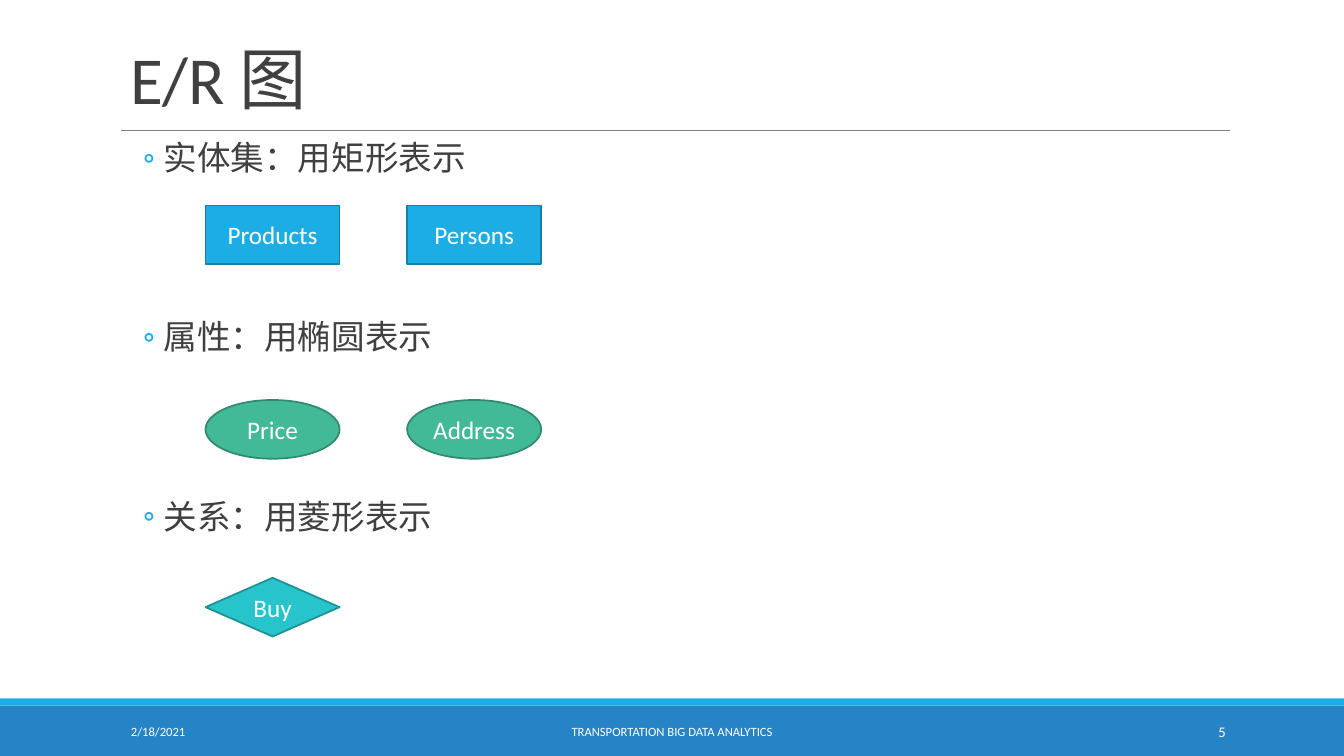
from dataclasses import dataclass

from lxml import etree
from pptx import Presentation
from pptx.dml.color import RGBColor
from pptx.enum.shapes import MSO_CONNECTOR, MSO_SHAPE as SHAPE
from pptx.enum.text import MSO_ANCHOR as ANCHOR, PP_ALIGN as ALIGN
from pptx.oxml.ns import qn
from pptx.util import Cm, Pt


@dataclass(frozen=True)
class Theme:
    font: str = "Calibri"
    text: str = "404040"
    white: str = "FFFFFF"
    rule: str = "808080"
    accent: str = "1CADE4"
    footer: str = "2683C6"
    entity: tuple = ("1CADE4", "1580A9")
    attribute: tuple = ("42BA97", "318A70")
    relation: tuple = ("28C4CC", "1E9197")
    title_size: float = 48
    body_size: float = 24
    label_size: float = 18
    footer_size: float = 9
    number_size: float = 10.5


THEME = Theme()
WIDTH, HEIGHT = 33.87, 19.05
LEFT, CONTENT_WIDTH = 3.05, 27.94
SYMBOL_LEFT, SYMBOL_STEP = 5.18, 5.08
SYMBOL_WIDTH, SYMBOL_HEIGHT = 3.38, 1.48


def color(value):
    return RGBColor.from_string(value)


def style_para(para, size, text_color, align=ALIGN.LEFT):
    para.alignment = align
    for span in para.runs:
        span.font.name = THEME.font
        span.font.size = Pt(size)
        span.font.color.rgb = color(text_color)


def add_text(page, place, text, size, text_color, align=ALIGN.LEFT, anchor=ANCHOR.MIDDLE):
    box = page.shapes.add_textbox(*map(Cm, place))
    frame = box.text_frame
    frame.word_wrap = True
    frame.vertical_anchor = anchor
    frame.text = text
    for para in frame.paragraphs:
        style_para(para, size, text_color, align)
    return frame


def add_block(page, kind, place, fill, outline=None):
    block = page.shapes.add_shape(kind, *map(Cm, place))
    block.shadow.inherit = False
    block.fill.solid()
    block.fill.fore_color.rgb = color(fill)
    if outline:
        block.line.color.rgb = color(outline)
        block.line.width = Pt(1.25)
    else:
        block.line.fill.background()
    return block


def add_symbols(page, kind, top, colors, labels):
    for column, label in enumerate(labels):
        left = SYMBOL_LEFT + column * SYMBOL_STEP
        block = add_block(page, kind, (left, top, SYMBOL_WIDTH, SYMBOL_HEIGHT), *colors)
        frame = block.text_frame
        frame.word_wrap = False
        frame.vertical_anchor = ANCHOR.MIDDLE
        frame.text = label
        style_para(frame.paragraphs[0], THEME.label_size, THEME.white, ALIGN.CENTER)


def add_rule(page, top):
    rule = page.shapes.add_connector(
        MSO_CONNECTOR.STRAIGHT, Cm(LEFT), Cm(top), Cm(LEFT + CONTENT_WIDTH), Cm(top))
    rule.line.color.rgb = color(THEME.rule)
    rule.line.width = Pt(0.5)
    etree.SubElement(rule._element.spPr, qn("a:effectLst"))


def add_title(page, text):
    frame = add_text(page, (LEFT, 0.33, CONTENT_WIDTH, 2.77), text,
                     THEME.title_size, THEME.text, anchor=ANCHOR.BOTTOM)
    para = frame.paragraphs[0]
    para.line_spacing = 0.85
    for span in para.runs:
        span.font._element.set("spc", "-50")


def set_bullet(para):
    props = para._p.get_or_add_pPr()
    props.set("marL", str(Cm(1.07)))
    props.set("indent", str(Cm(-0.51)))
    tint = etree.SubElement(props, qn("a:buClr"))
    etree.SubElement(tint, qn("a:srgbClr"), val=THEME.accent)
    etree.SubElement(props, qn("a:buFont"), typeface=THEME.font)
    etree.SubElement(props, qn("a:buChar"), char="◦")


def add_bullets(page, lines):
    frame = add_text(page, (LEFT, 3.45, CONTENT_WIDTH, 14.05), "\n".join(lines),
                     THEME.body_size, THEME.text, anchor=ANCHOR.TOP)
    frame.margin_left = frame.margin_right = 0
    for index, para in enumerate(frame.paragraphs):
        para.line_spacing = 0.9
        para.space_before = Pt(98 if index else 2)
        para.space_after = Pt(4)
        set_bullet(para)


def add_footer(page):
    add_block(page, SHAPE.RECTANGLE, (0, 17.78, WIDTH, 1.27), THEME.footer)
    add_block(page, SHAPE.RECTANGLE, (0, 17.6, WIDTH, 0.18), THEME.accent)
    for left, width, text, size, align in (
        (LEFT, 6.86, "2/18/2021", THEME.footer_size, ALIGN.LEFT),
        (10.24, 13.39, "TRANSPORTATION BIG DATA ANALYTICS", THEME.footer_size, ALIGN.CENTER),
        (27.51, 3.63, "5", THEME.number_size, ALIGN.RIGHT),
    ):
        add_text(page, (left, 17.93, width, 1.02), text, size, THEME.white, align)


def main():
    deck = Presentation()
    deck.slide_width, deck.slide_height = Cm(WIDTH), Cm(HEIGHT)
    page = deck.slides.add_slide(deck.slide_layouts[6])
    add_footer(page)
    add_rule(page, 3.28)
    add_title(page, "E/R 图")
    add_bullets(page, ("实体集：用矩形表示", "属性：用椭圆表示", "关系：用菱形表示"))
    add_symbols(page, SHAPE.RECTANGLE, 5.18, THEME.entity, ("Products", "Persons"))
    add_symbols(page, SHAPE.OVAL, 10.08, THEME.attribute, ("Price", "Address"))
    add_symbols(page, SHAPE.DIAMOND, 14.56, THEME.relation, ("Buy",))
    deck.save("out.pptx")


main()
